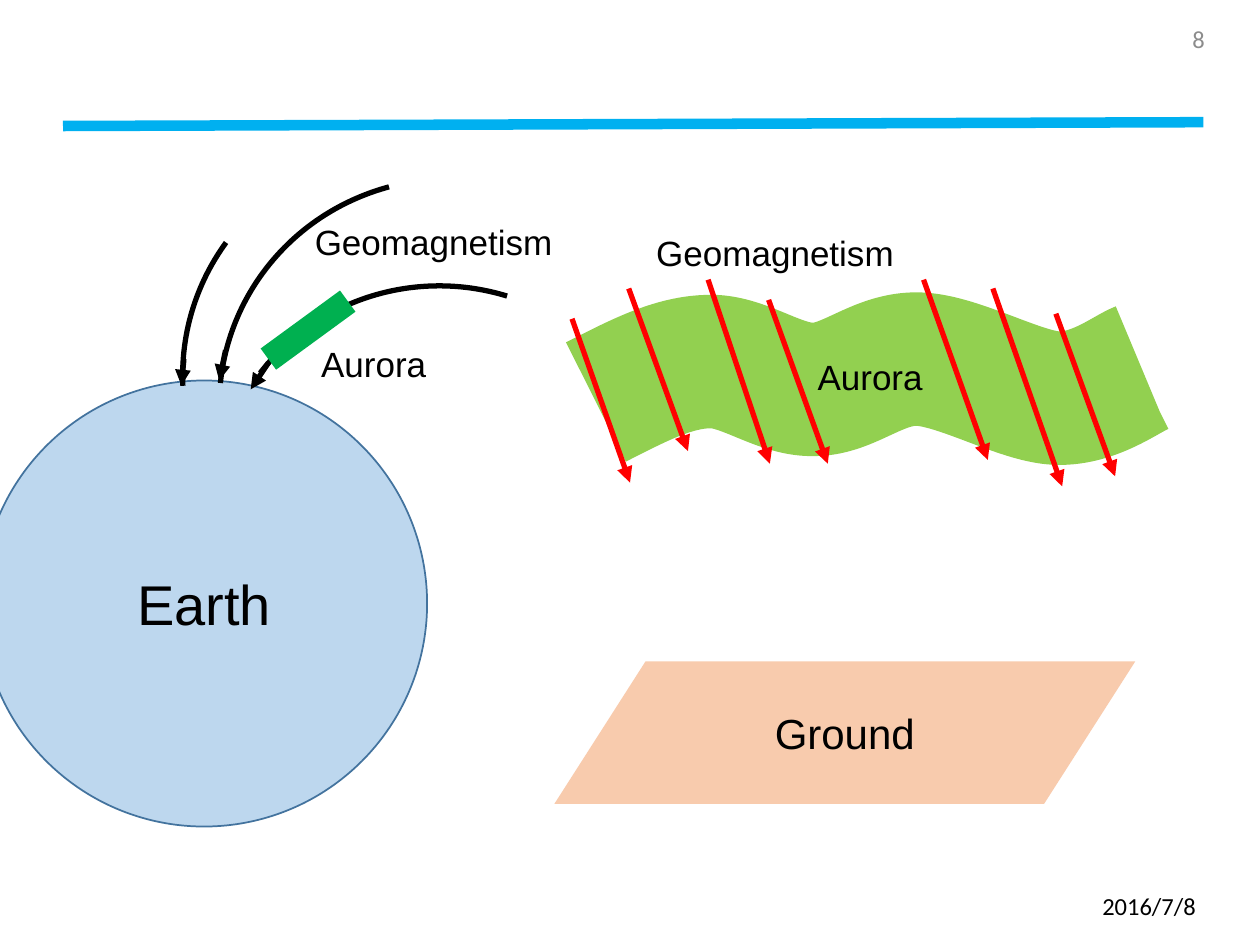
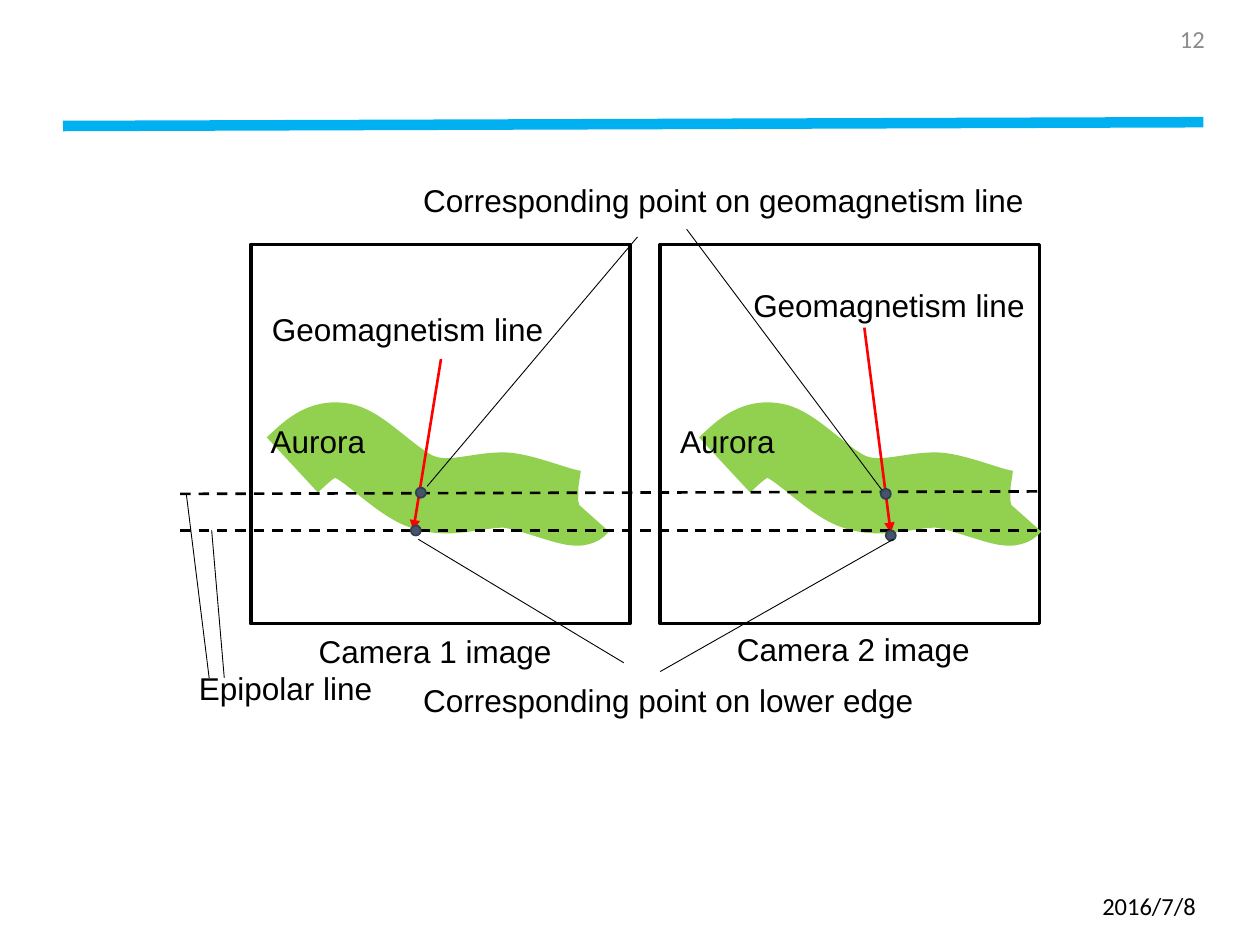
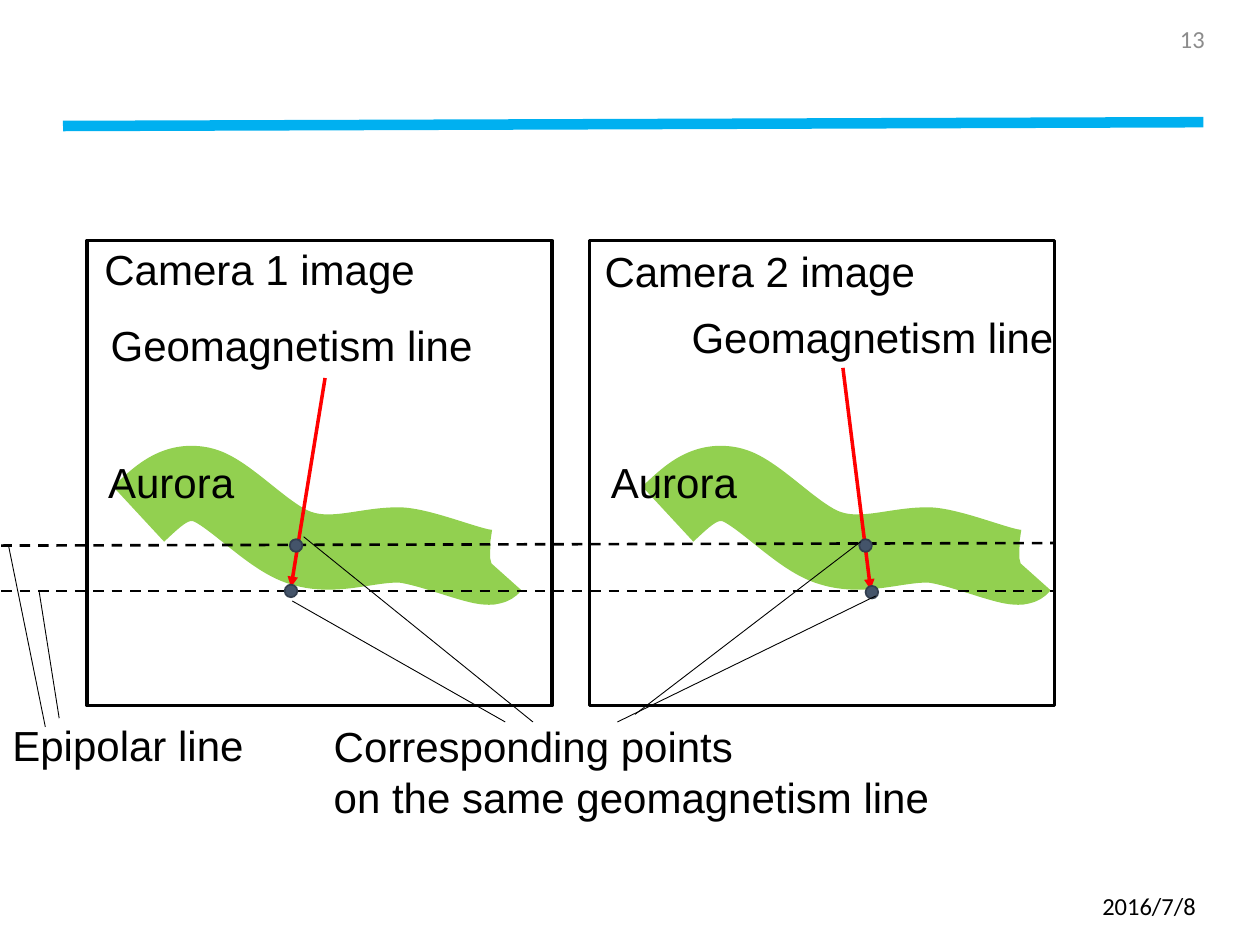
from dataclasses import dataclass

from lxml import etree
from pptx import Presentation, util as u
from pptx.dml.color import RGBColor
from pptx.enum import dml, shapes, text
from pptx.oxml import ns
from pptx.shapes.autoshape import Shape
from pptx.shapes.connector import Connector
from pptx.slide import Slide

Point = tuple[float, float]


@dataclass(frozen=True)
class Theme:
    black: str = "000000"
    white: str = "FFFFFF"
    gray: str = "8C8C8C"
    band: str = "00B0F0"
    red: str = "FF0000"
    lime: str = "92D050"
    green: str = "00B050"
    earth: str = "BDD7EE"
    rim: str = "43739E"
    ground: str = "F8CBAD"
    dot: str = "44546A"
    ring: str = "333F50"
    body: str = "Arial"
    foot: str = "Calibri"
    tiny: float = 14
    small: float = 18
    base: float = 20
    large: float = 24
    huge: float = 32


THEME = Theme()
ALIGN = text.PP_ALIGN
MIDDLE = text.MSO_ANCHOR.MIDDLE
FORM = shapes.MSO_SHAPE


@dataclass(frozen=True)
class Label:
    words: str
    left: float
    top: float
    width: float
    height: float


@dataclass(frozen=True)
class Line:
    start: Point
    end: Point


@dataclass(frozen=True)
class Arc:
    left: float
    top: float
    turn: float
    stop: float


@dataclass(frozen=True)
class Scene:
    number: str
    size: float
    scale: float
    weight: float
    side: float
    dot: float
    panels: tuple[Point, ...]
    waves: tuple[Point, ...]
    fields: tuple[Line, ...]
    dashes: tuple[Line, ...]
    dots: tuple[Point, ...]
    leads: tuple[Line, ...]
    labels: tuple[Label, ...]


def write(shape: Shape, words: str, *, size: float, font: str = THEME.body,
          color: str = THEME.black, align: ALIGN = ALIGN.LEFT,
          anchor: text.MSO_ANCHOR = text.MSO_ANCHOR.TOP, wrap: bool = True) -> None:
    frame = shape.text_frame
    frame.word_wrap = wrap
    frame.vertical_anchor = anchor
    if not wrap:
        frame.auto_size = text.MSO_AUTO_SIZE.SHAPE_TO_FIT_TEXT
    frame.text = words
    for para in frame.paragraphs:
        para.alignment = align
        para.font.size = u.Pt(size)
        para.font.name = font
        para.font.color.rgb = RGBColor.from_string(color)


def put(slide: Slide, label: Label, **style) -> None:
    spots = (label.left, label.top, label.width, label.height)
    box = slide.shapes.add_textbox(*map(u.Inches, spots))
    write(box, label.words, **style)


def stroke(shape: Shape | Connector, color: str, weight: float) -> None:
    shape.line.color.rgb = RGBColor.from_string(color)
    shape.line.width = u.Pt(weight)


def draw(slide: Slide, form: FORM, left: float, top: float, width: float, height: float,
         fill: str = "", edge: str = "", weight: float = 1) -> Shape:
    shape = slide.shapes.add_shape(form, *map(u.Inches, (left, top, width, height)))
    shape.shadow.inherit = False
    if fill:
        shape.fill.solid()
        shape.fill.fore_color.rgb = RGBColor.from_string(fill)
    else:
        shape.fill.background()
    if edge:
        stroke(shape, edge, weight)
    else:
        shape.line.fill.background()
    return shape


def link(slide: Slide, line: Line, weight: float, color: str = THEME.black,
         dash: bool = False, head: bool = False) -> Connector:
    wire = slide.shapes.add_connector(shapes.MSO_CONNECTOR.STRAIGHT,
                                      *map(u.Inches, line.start + line.end))
    stroke(wire, color, weight)
    if dash:
        wire.line.dash_style = dml.MSO_LINE.DASH
    props = wire.element.spPr
    if head:
        etree.SubElement(props.find(ns.qn("a:ln")), ns.qn("a:tailEnd"), type="triangle")
    etree.SubElement(props, ns.qn("a:effectLst"))
    return wire


def curve(slide: Slide, points: list[Point], color: str, weight: float) -> None:
    spots = [(u.Inches(x), u.Inches(y)) for x, y in points]
    pen = slide.shapes.build_freeform(*spots[0])
    pen.add_line_segments(spots[1:], close=False)
    shape = pen.convert_to_shape()
    shape.shadow.inherit = False
    shape.fill.background()
    stroke(shape, color, weight)
    track = next(shape.element.iter(ns.qn("a:path")))
    steps = track.findall(ns.qn("a:lnTo"))
    for first in range(0, len(steps), 3):
        bend = etree.SubElement(track, ns.qn("a:cubicBezTo"))
        for step in steps[first:first + 3]:
            bend.append(step[0])
            track.remove(step)


def start(deck: Presentation, number: str) -> Slide:
    slide = deck.slides.add_slide(deck.slide_layouts[6])
    put(slide, Label("2016/7/8", 8.65, 6.99, 1.22, 0.4),
        size=THEME.tiny, font=THEME.foot, anchor=MIDDLE)
    put(slide, Label(number, 9.06, 0.11, 0.6, 0.4), size=THEME.tiny, font=THEME.foot,
        color=THEME.gray, align=ALIGN.RIGHT, anchor=MIDDLE)
    return slide


ARCS = (
    Arc(1.77, 1.39, 275.8, 203.14),
    Arc(1.48, 1.14, 267.3, 184.72),
    Arc(1.71, 2.25, 307.8, 203.14),
)
TIPS = (
    Line((2.13, 2.88), (1.99, 3.09)),
    Line((1.46, 2.85), (1.44, 3.06)),
    Line((1.79, 2.78), (1.74, 3.02)),
)
SHEET = [
    (4.73, 3.19), (5.03, 3.04), (5.32, 2.88), (5.61, 2.87), (5.89, 2.85),
    (6.18, 3.1), (6.46, 3.09), (6.74, 3.09), (6.97, 2.84), (7.29, 2.85),
    (7.61, 2.86), (8.1, 3.15), (8.39, 3.16), (8.69, 3.17), (8.95, 2.96), (9.06, 2.92),
]
RAYS = (
    Line((4.54, 2.53), (5, 3.83)),
    Line((7.88, 2.29), (8.43, 3.86)),
    Line((4.99, 2.29), (5.46, 3.58)),
    Line((5.62, 2.22), (6.11, 3.68)),
    Line((7.33, 2.22), (7.84, 3.65)),
    Line((6.1, 2.38), (6.57, 3.68)),
    Line((8.38, 2.49), (8.85, 3.78)),
)
NAMES = (
    Label("Geomagnetism", 2.4, 1.7, 2.1, 0.44),
    Label("Aurora", 2.45, 2.67, 1.04, 0.44),
    Label("Aurora", 6.39, 2.77, 1.04, 0.44),
    Label("Geomagnetism", 5.11, 1.79, 2.1, 0.44),
)
WAVE = (
    (0, 0), (0.12, -0.11), (0.23, -0.23), (0.41, -0.19), (0.58, -0.15),
    (0.84, 0.16), (1.05, 0.22), (1.27, 0.29), (1.49, 0.19), (1.7, 0.2),
    (1.9, 0.22), (2.27, 0.39), (2.29, 0.33),
)

SCENES = (
    Scene(
        number="12", size=THEME.small, scale=1, weight=1.5, side=3.01, dot=0.08,
        panels=((1.99, 1.94), (5.24, 1.94)),
        waves=((2.32, 3.69), (5.75, 3.69)),
        fields=(Line((3.5, 2.85), (3.28, 4.21)), Line((6.86, 2.6), (7.07, 4.23))),
        dashes=(Line((1.43, 4.21), (8.26, 4.21)), Line((1.43, 3.92), (8.26, 3.9))),
        dots=((3.26, 4.17), (7.03, 4.21), (6.99, 3.88), (3.3, 3.87)),
        leads=(
            Line((3.32, 4.28), (4.95, 5.26)),
            Line((7.09, 4.28), (5.24, 5.33)),
            Line((3.39, 3.86), (5.06, 1.88)),
            Line((7, 3.89), (5.45, 1.82)),
            Line((1.78, 5.38), (1.68, 4.21)),
            Line((1.66, 5.38), (1.48, 3.93)),
        ),
        labels=(
            Label("Aurora", 2.05, 3.3, 0.96, 0.4),
            Label("Geomagnetism line", 2.06, 2.41, 2.38, 0.4),
            Label("Camera 1 image", 2.43, 4.97, 2.08, 0.4),
            Label("Aurora", 5.3, 3.3, 0.96, 0.4),
            Label("Epipolar line", 1.48, 5.26, 1.59, 0.4),
            Label("Corresponding point on lower edge", 3.26, 5.36, 4.27, 0.4),
            Label("Geomagnetism line", 5.88, 2.22, 2.38, 0.4),
            Label("Camera 2 image", 5.75, 4.95, 2.07, 0.4),
            Label("Corresponding point on geomagnetism line", 3.26, 1.39, 5.01, 0.4),
        ),
    ),
    Scene(
        number="13", size=THEME.large, scale=1.23, weight=2, side=3.69, dot=0.1,
        panels=((0.69, 1.91), (4.68, 1.91)),
        waves=((1.1, 4.08), (5.3, 4.08)),
        fields=(Line((2.58, 3), (2.31, 4.66)), Line((6.69, 2.92), (6.91, 4.68))),
        dashes=(Line((0.01, 4.69), (8.37, 4.69)), Line((0.01, 4.33), (8.37, 4.31))),
        dots=((2.26, 4.64), (6.87, 4.65), (6.82, 4.28), (2.3, 4.28)),
        leads=(
            Line((2.32, 4.77), (4.01, 5.73)),
            Line((6.95, 4.73), (4.9, 5.73)),
            Line((2.41, 4.26), (4.23, 5.73)),
            Line((6.83, 4.3), (5.04, 5.67)),
            Line((0.47, 5.7), (0.31, 4.69)),
            Line((0.36, 5.77), (0.07, 4.34)),
        ),
        labels=(
            Label("Aurora", 0.76, 3.57, 1.49, 0.62),
            Label("Geomagnetism line", 0.78, 2.49, 3.8, 0.62),
            Label("Camera 1 image", 0.73, 1.88, 2.69, 0.5),
            Label("Aurora", 4.75, 3.57, 1.49, 0.62),
            Label("Epipolar line", 0, 5.66, 2.52, 0.62),
            Label("Geomagnetism line", 5.39, 2.42, 3.8, 0.62),
            Label("Camera 2 image", 4.7, 1.9, 3.3, 0.62),
            Label("Corresponding points\non the same geomagnetism line",
                  2.55, 5.67, 4.98, 0.91),
        ),
    ),
)


def globe(slide: Slide) -> None:
    earth = draw(slide, FORM.OVAL, -0.15, 3.02, 3.54, 3.54, THEME.earth, THEME.rim)
    write(earth, "Earth", size=THEME.huge, align=ALIGN.CENTER, anchor=MIDDLE)
    for arc in ARCS:
        shape = draw(slide, FORM.ARC, arc.left, arc.top, 3.61, 3.67,
                     edge=THEME.black, weight=3)
        shape.rotation = arc.turn
        shape.adjustments[0] = 162
        shape.adjustments[1] = arc.stop
    for tip in TIPS:
        link(slide, tip, 3, head=True)
    link(slide, Line((2.76, 2.39), (2.13, 2.85)), 15, THEME.green)
    curve(slide, SHEET, THEME.lime, 76.25)
    for ray in RAYS:
        link(slide, ray, 3, THEME.red, head=True)
    for name in NAMES:
        put(slide, name, size=THEME.base, wrap=False)
    ground = draw(slide, FORM.PARALLELOGRAM, 4.4, 5.25, 4.61, 1.13, THEME.ground)
    ground.adjustments[0] = 0.64
    write(ground, "Ground", size=THEME.large, align=ALIGN.CENTER, anchor=MIDDLE)


def views(slide: Slide, scene: Scene) -> None:
    for left, top in scene.panels:
        draw(slide, FORM.RECTANGLE, left, top, scene.side, scene.side,
             THEME.white, THEME.black, 2)
    for left, top in scene.waves:
        points = [(left + x * scene.scale, top + y * scene.scale) for x, y in WAVE]
        curve(slide, points, THEME.lime, 43)
    for field in scene.fields:
        link(slide, field, scene.weight, THEME.red, head=True)
    for dash in scene.dashes:
        link(slide, dash, 1.5, dash=True)
    for left, top in scene.dots:
        draw(slide, FORM.OVAL, left, top, scene.dot, scene.dot, THEME.dot, THEME.ring)
    for lead in scene.leads:
        link(slide, lead, 0.5)
    for label in scene.labels:
        put(slide, label, size=scene.size, wrap=False)


def main() -> None:
    deck = Presentation()
    deck.slide_width, deck.slide_height = u.Inches(10), u.Inches(7.5)
    first = start(deck, "8")
    band = link(first, Line((0.5, 1), (9.55, 0.97)), 6, THEME.band)
    deck.slide_master.shapes.element.append(band.element)
    globe(first)
    for scene in SCENES:
        views(start(deck, scene.number), scene)
    deck.save("out.pptx")


if __name__ == "__main__":
    main()
